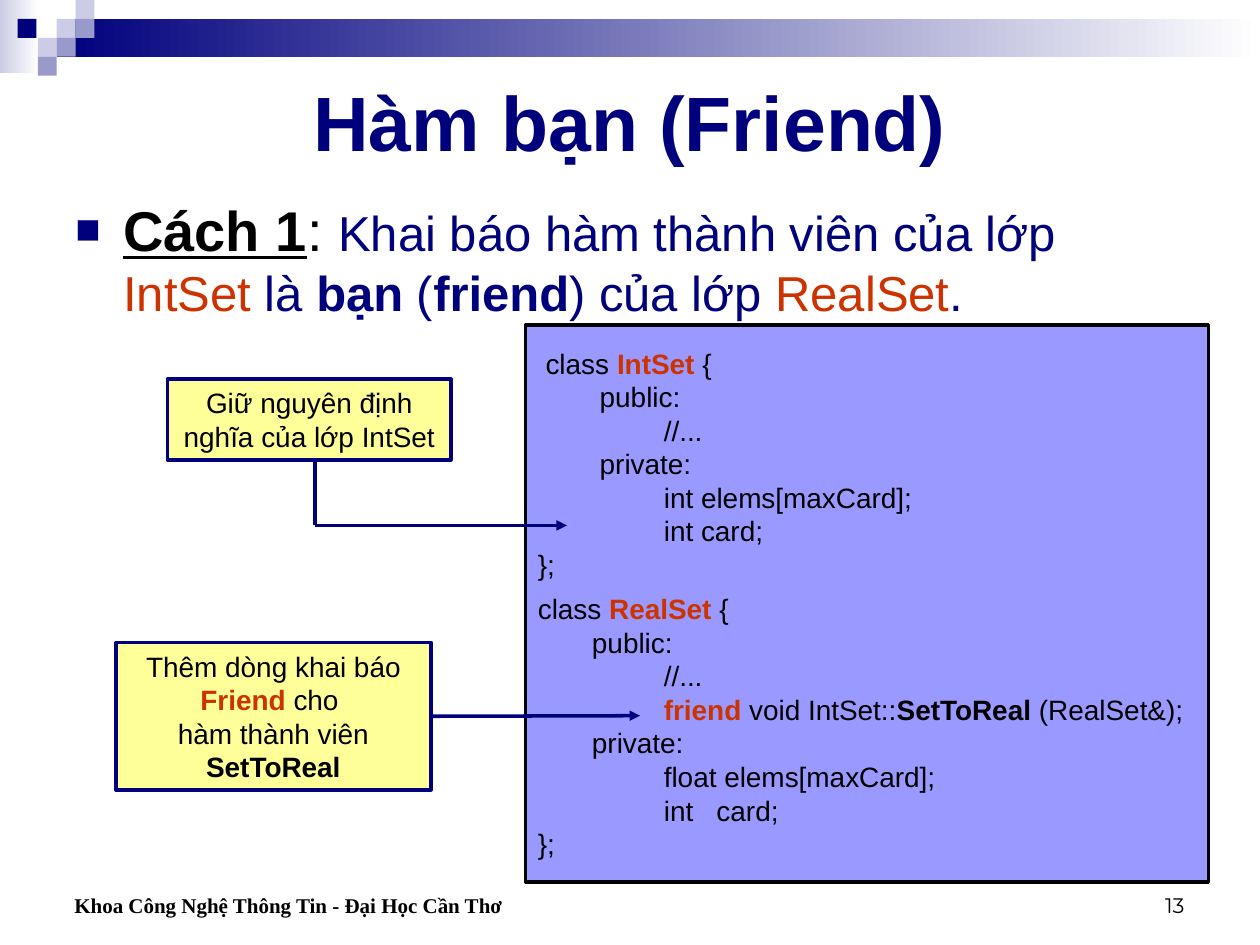
from lxml import etree
from pptx import Presentation
from pptx.dml.color import RGBColor
from pptx.enum.shapes import MSO_CONNECTOR, MSO_SHAPE
from pptx.enum.text import MSO_ANCHOR, PP_ALIGN
from pptx.oxml.ns import qn
from pptx.util import Inches, Pt

RECT, STRAIGHT = MSO_SHAPE.RECTANGLE, MSO_CONNECTOR.STRAIGHT
TOP, MIDDLE, BOTTOM = MSO_ANCHOR.TOP, MSO_ANCHOR.MIDDLE, MSO_ANCHOR.BOTTOM
LEFT, CENTER, RIGHT = PP_ALIGN.LEFT, PP_ALIGN.CENTER, PP_ALIGN.RIGHT

NAVY = RGBColor(0x00, 0x00, 0x7D)
LAVENDER = RGBColor(0xCC, 0xCC, 0xE6)
MAUVE = RGBColor(0x99, 0x99, 0xCC)
VIOLET = RGBColor(0x99, 0x99, 0xFF)
YELLOW = RGBColor(0xFF, 0xFF, 0x99)
RED = RGBColor(0xCC, 0x33, 0x00)
BLACK = RGBColor(0, 0, 0)
WHITE = RGBColor(0xFF, 0xFF, 0xFF)

PLAIN = {}
BOLD = {"bold": True}
KEY = {"bold": True, "color": RED}
NAME = {"color": RED}
LEAD = {"size": 32, "color": BLACK}

TITLE = [[("Hàm bạn (Friend)", BOLD)]]
BODY = [[
    ("Cách 1", {**LEAD, "bold": True, "underline": True}), (": ", LEAD),
    ("Khai báo hàm thành viên của lớp ", PLAIN), ("IntSet", NAME),
    (" là ", PLAIN), ("bạn", BOLD), (" (", PLAIN), ("friend", BOLD),
    (") của lớp ", PLAIN), ("RealSet", NAME), (".", PLAIN),
]]
CODE = [
    [(" class ", PLAIN), ("IntSet", KEY), (" {", PLAIN)],
    [("        public:", PLAIN)],
    [("\t//...", PLAIN)],
    [("        private:", PLAIN)],
    [("\tint elems[maxCard];", PLAIN)],
    [("\tint card;", PLAIN)],
    [("};", PLAIN)],
    [("class ", PLAIN), ("RealSet", KEY), (" {", PLAIN)],
    [("       public:", PLAIN)],
    [("\t//...", PLAIN)],
    [("\t", PLAIN), ("friend", KEY), (" void IntSet::", PLAIN),
     ("SetToReal", BOLD), (" (RealSet&);", PLAIN)],
    [("       private:", PLAIN)],
    [("\tfloat elems[maxCard];", PLAIN)],
    [("\tint   card;", PLAIN)],
    [("};", PLAIN)],
]
REAL_CLASS = 7
KEEP_NOTE = [[("Giữ nguyên định nghĩa của lớp IntSet", PLAIN)]]
FRIEND_NOTE = [
    [("Thêm dòng khai báo ", PLAIN), ("Friend", KEY), (" cho ", PLAIN)],
    [("hàm thành viên ", PLAIN), ("SetToReal", BOLD)],
]
FOOTER = [[("Khoa Công Nghệ Thông Tin - Đại Học Cần Thơ", BOLD)]]
NUMBER = [[("13", PLAIN)]]

BANDS = [((0, 0, 0.31, 0.58), LAVENDER), ((0.45, 0.15, 9.55, 0.3), NAVY)]
CELL = 0.15
SQUARES = [
    (3, 1, LAVENDER), (4, 0, LAVENDER), (4, 1, MAUVE), (2, 2, LAVENDER),
    (0.93, 1, NAVY), (3, 2, MAUVE), (2, 3, MAUVE),
]


def place(sp, box):
    sp.left, sp.top, sp.width, sp.height = map(Inches, box)


def write(sp, lines, size, color=BLACK, font="Arial", align=LEFT,
          anchor=TOP, wrap=True):
    tf = sp.text_frame
    tf.word_wrap, tf.vertical_anchor = wrap, anchor
    for i, line in enumerate(lines):
        p = tf.paragraphs[0] if i == 0 else tf.add_paragraph()
        p.alignment = align
        for text, style in line:
            r = p.add_run()
            r.text = text
            r.font.name = font
            r.font.size = Pt(style.get("size", size))
            r.font.bold = style.get("bold", False)
            r.font.underline = style.get("underline", False)
            r.font.color.rgb = style.get("color", color)
    return tf


def add_rect(s, box, fill, line=None):
    sp = s.shapes.add_shape(RECT, *map(Inches, box))
    sp.shadow.inherit = False
    sp.fill.solid()
    sp.fill.fore_color.rgb = fill
    if line is None:
        sp.line.fill.background()
    else:
        sp.line.color.rgb = line
        sp.line.width = Pt(2)
    return sp


def add_text(s, box, lines, size, **style):
    sp = s.shapes.add_textbox(*map(Inches, box))
    return write(sp, lines, size, **style)


def add_line(s, start, end, arrow=False):
    c = s.shapes.add_connector(STRAIGHT, *map(Inches, start + end))
    c.line.color.rgb = NAVY
    c.line.width = Pt(2)
    if arrow:
        etree.SubElement(c.line._get_or_add_ln(), qn("a:tailEnd"), type="triangle")
    etree.SubElement(c._element.spPr, qn("a:effectLst"))
    return c


def add_bullet(p, indent):
    pPr = p._p.get_or_add_pPr()
    pPr.set("marL", str(Inches(indent)))
    pPr.set("indent", str(-Inches(indent)))
    color = etree.SubElement(pPr, qn("a:buClr"))
    etree.SubElement(color, qn("a:srgbClr"), val=str(NAVY))
    etree.SubElement(pPr, qn("a:buSzPct"), val="75000")
    etree.SubElement(pPr, qn("a:buFont"), typeface="Arial")
    etree.SubElement(pPr, qn("a:buChar"), char="■")


def add_tab(p, pos):
    tabs = etree.SubElement(p._p.get_or_add_pPr(), qn("a:tabLst"))
    etree.SubElement(tabs, qn("a:tab"), pos=str(Inches(pos)), algn="l")


def main():
    prs = Presentation()
    prs.slide_width, prs.slide_height = Inches(10), Inches(7.5)
    s = prs.slides.add_slide(prs.slide_layouts[5])

    for box, color in BANDS:
        fill = add_rect(s, box, color).fill
        fill.gradient()
        fill.gradient_angle = 180
        for stop, shade in zip(fill.gradient_stops, (WHITE, color)):
            stop.color.rgb = shade
    for col, row, color in SQUARES:
        add_rect(s, (col * CELL, row * CELL, CELL, CELL), color)

    title = s.shapes.title
    place(title, (0.5, 0.5, 9, 0.92))
    write(title, TITLE, 44, color=NAVY, align=CENTER, anchor=MIDDLE)

    tf = add_text(s, (0.5, 1.5, 9.08, 1.17), BODY, 28, color=NAVY)
    add_bullet(tf.paragraphs[0], 0.38)

    code = add_rect(s, (4.17, 2.58, 5.42, 4.42), VIOLET, BLACK)
    tf = write(code, CODE, 16, wrap=False)
    tf.margin_top = Inches(0.14)
    tf.paragraphs[0].line_spacing = 1.1
    tf.paragraphs[REAL_CLASS].space_before = Pt(6)
    for p in tf.paragraphs:
        add_tab(p, 1)

    keep = add_rect(s, (1.33, 3.01, 2.25, 0.64), YELLOW, NAVY)
    write(keep, KEEP_NOTE, 16, align=CENTER, anchor=MIDDLE)
    friend = add_rect(s, (0.92, 5.1, 2.5, 1.17), YELLOW, NAVY)
    write(friend, FRIEND_NOTE, 16, align=CENTER, anchor=MIDDLE)

    add_line(s, (2.5, 3.67), (2.5, 4.17))
    add_line(s, (2.5, 4.17), (4.5, 4.17), arrow=True)
    add_line(s, (3.42, 5.68), (5.08, 5.68), arrow=True).begin_connect(friend, 3)

    tf = add_text(s, (0.25, 6.83, 4.83, 0.5), FOOTER, 12,
                  font="Times New Roman", anchor=BOTTOM)
    tf.margin_left = Inches(0.34)
    add_text(s, (7.17, 6.83, 2.33, 0.5), NUMBER, 12,
             font="Montserrat", align=RIGHT, anchor=BOTTOM)

    prs.save("out.pptx")


if __name__ == "__main__":
    main()
